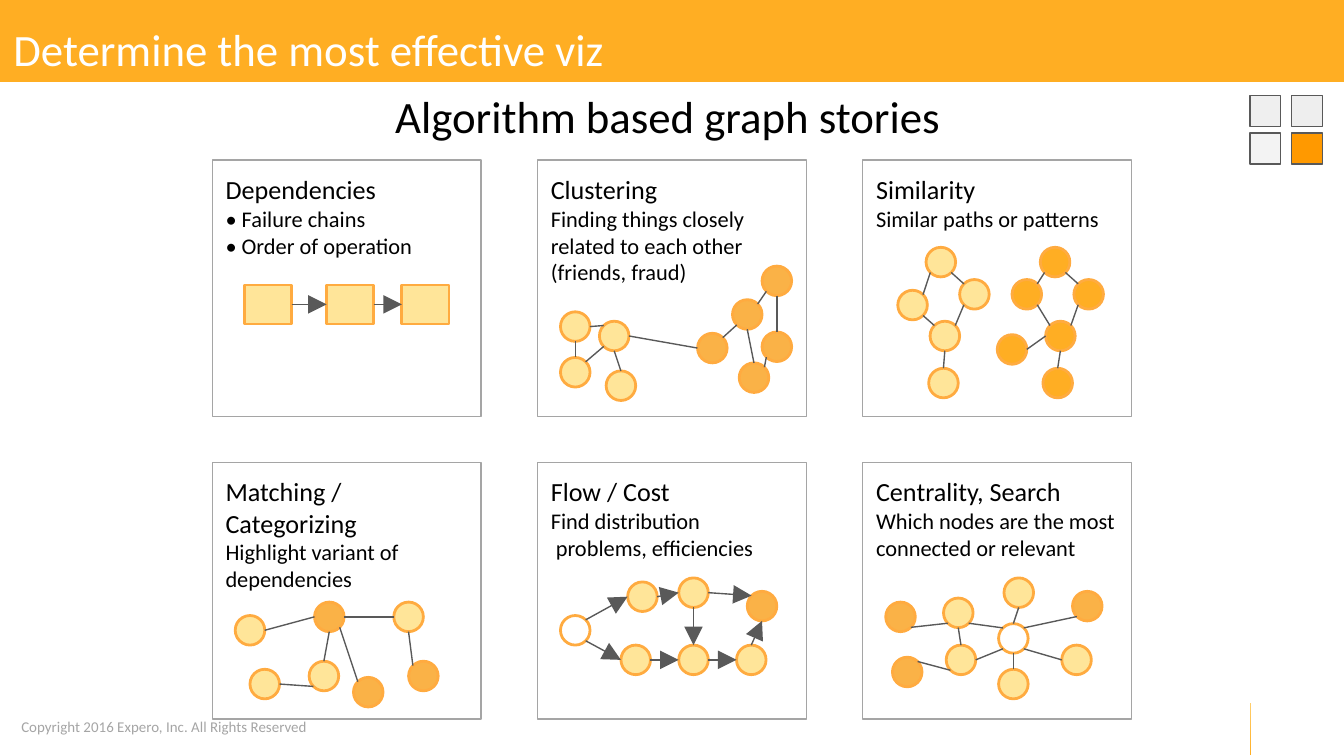
from dataclasses import dataclass
from math import cos, radians, sin

from lxml.etree import SubElement
from pptx import Presentation
from pptx.dml.color import RGBColor
from pptx.enum.shapes import MSO_CONNECTOR, MSO_SHAPE
from pptx.enum.text import MSO_ANCHOR, PP_ALIGN
from pptx.oxml.ns import qn
from pptx.util import Inches, Pt


@dataclass(frozen=True)
class Theme:
    font: str = "Calibri"
    title: int = 24
    heading: int = 14
    body: int = 12
    footer: int = 8
    amber: str = "FFAE23"
    amber_pale: str = "FFCE6C"
    node_edge: str = "FFAB40"
    link: str = "595959"
    grey: str = "A5A5A5"
    white: str = "FFFFFF"
    black: str = "000000"


THEME = Theme()
SLIDE_WIDTH = 10
SLIDE_HEIGHT = SLIDE_WIDTH * 9 / 16

# Node kind -> fill colour and opacity in percent
NODE_FILLS = {
    "light": ("FFE599", 100),
    "dark": ("F99F1A", 80),
    "amber": (THEME.amber, 100),
    "open": (THEME.white, 100),
}
NODE_SIZE = 0.22
BOX_WIDTH, BOX_HEIGHT = 0.35, 0.29
ANGLES = {"e": 0, "se": 45, "s": 90, "sw": 135, "w": 180, "nw": 225, "n": 270, "ne": 315}

# Nodes: name -> (kind, centre x, centre y) inside the panel.
# Links: "from.side to.side", sides being compass points on the node.
PANELS = [
    {"heading": "Dependencies",
     "body": ["• Failure chains", "• Order of operation"],
     "chain": [0.24, 0.85, 1.41], "chain_top": 0.93},
    {"heading": "Clustering",
     "body": ["Finding things closely related to each other (friends, fraud)"],
     "nodes": {"a": ("light", 0.28, 1.24), "b": ("light", 0.28, 1.58),
               "c": ("light", 0.57, 1.31), "d": ("light", 0.62, 1.68),
               "e": ("dark", 1.30, 1.40), "f": ("dark", 1.56, 1.15),
               "g": ("dark", 1.61, 1.62), "h": ("dark", 1.78, 1.39),
               "i": ("dark", 1.78, 0.90)},
     "links": ["i.sw f.ne", "i.s h.n", "h.sw g.ne", "f.sw e.ne", "f.s g.n",
               "c.s d.n", "c.sw b.ne", "c.nw a.e", "a.s b.n", "e.w c.e"]},
    {"heading": "Similarity", "body": ["Similar paths or patterns"],
     "nodes": {"a": ("light", 0.58, 0.76), "b": ("light", 0.37, 1.08),
               "c": ("light", 0.83, 1.00), "d": ("light", 0.61, 1.31),
               "e": ("light", 0.60, 1.66),
               "p": ("amber", 1.43, 0.76), "q": ("amber", 1.22, 1.00),
               "r": ("amber", 1.68, 1.00), "s": ("amber", 1.47, 1.31),
               "t": ("amber", 1.45, 1.66), "u": ("amber", 1.11, 1.41)},
     "links": ["a.sw b.ne", "a.se c.nw", "b.se d.nw", "c.sw d.ne", "d.s e.n",
               "p.sw q.ne", "p.se r.nw", "q.se s.nw", "r.sw s.ne", "s.s t.n",
               "s.w u.e"]},
    {"heading": "Matching / Categorizing",
     "body": ["Highlight variant of dependencies"],
     "nodes": {"a": ("light", 0.28, 1.25), "hub": ("dark", 0.87, 1.15),
               "b": ("light", 1.46, 1.15), "c": ("light", 0.39, 1.65),
               "d": ("light", 0.83, 1.59), "e": ("dark", 1.16, 1.71),
               "f": ("dark", 1.57, 1.59)},
     "links": ["b.s f.nw", "b.w hub.e", "hub.s d.n", "hub.se e.nw",
               "hub.w a.e", "c.e d.sw"]},
    {"heading": "Flow / Cost",
     "body": ["Find distribution", " problems, efficiencies"], "arrows": True,
     "nodes": {"start": ("open", 0.28, 1.25), "a": ("light", 0.78, 1.00),
               "b": ("light", 1.16, 0.97), "c": ("light", 0.73, 1.47),
               "d": ("light", 1.16, 1.47), "e": ("light", 1.59, 1.47),
               "end": ("dark", 1.67, 1.07)},
     "links": ["start.ne a.w", "start.se c.w", "c.e d.w", "d.e e.w",
               "e.n end.s", "a.e b.w", "b.e end.nw", "b.s d.n"]},
    {"heading": "Centrality, Search",
     "body": ["Which nodes are the most connected or relevant"],
     "nodes": {"hub": ("open", 1.12, 1.31), "a": ("light", 0.71, 1.12),
               "b": ("dark", 1.67, 1.07), "c": ("light", 0.73, 1.47),
               "d": ("light", 1.16, 0.97), "e": ("light", 1.12, 1.65),
               "f": ("light", 1.59, 1.47), "g": ("dark", 0.28, 1.15),
               "h": ("dark", 0.33, 1.56)},
     "links": ["d.s hub.n", "b.sw hub.ne", "f.w hub.se", "a.se hub.nw",
               "c.e hub.sw", "e.n hub.s", "g.se a.sw", "h.ne c.sw", "c.n a.s"]},
]
COLUMNS = 3
PANEL_LEFT, PANEL_TOP = 1.58, 1.19
PANEL_WIDTH, PANEL_HEIGHT = 2, 1.91
COLUMN_STEP, ROW_STEP = 2.42, 2.25

CORNER_SQUARES = [["EFEFEF", "EEEEEE"], ["F3F3F3", "FF9900"]]


def add_box(slide, kind, left, top, width, height, fill, line, weight=0.75, opacity=100):
    shape = slide.shapes.add_shape(
        kind, Inches(left), Inches(top), Inches(width), Inches(height))
    shape.shadow.inherit = False
    shape.fill.solid()
    shape.fill.fore_color.rgb = RGBColor.from_string(fill)
    if opacity < 100:
        color = shape.fill._xPr.find(qn("a:solidFill"))[0]
        SubElement(color, qn("a:alpha"), val=str(opacity * 1000))
    shape.line.color.rgb = RGBColor.from_string(line)
    shape.line.width = Pt(weight)
    return shape


def add_link(slide, start, end, arrow):
    connector = slide.shapes.add_connector(
        MSO_CONNECTOR.STRAIGHT, *(Inches(value) for value in (*start, *end)))
    connector.line.color.rgb = RGBColor.from_string(THEME.link)
    connector.line.width = Pt(0.75)
    if arrow:
        SubElement(connector.line._get_or_add_ln(), qn("a:tailEnd"),
                   type="triangle", w="lg", len="lg")
    SubElement(connector._element.spPr, qn("a:effectLst"))
    return connector


def add_run(paragraph, text, size, color):
    run = paragraph.add_run()
    run.text = text
    run.font.name = THEME.font
    run.font.size = Pt(size)
    run.font.color.rgb = RGBColor.from_string(color)


def set_frame(shape, vertical=0.1):
    frame = shape.text_frame
    frame.word_wrap = True
    frame.vertical_anchor = MSO_ANCHOR.TOP
    frame.margin_left = frame.margin_right = Inches(0.1)
    frame.margin_top = frame.margin_bottom = Inches(vertical)
    return frame


def add_text_frame(slide, left, top, width, height, vertical=0.1):
    return set_frame(slide.shapes.add_textbox(
        Inches(left), Inches(top), Inches(width), Inches(height)), vertical)


def add_panel(slide, panel, left, top):
    add_box(slide, MSO_SHAPE.RECTANGLE, left, top, PANEL_WIDTH, PANEL_HEIGHT,
            THEME.white, THEME.grey)
    frame = add_text_frame(slide, left, top, PANEL_WIDTH, 0.52)
    add_run(frame.paragraphs[0], panel["heading"], THEME.heading, THEME.black)
    for text in panel["body"]:
        add_run(frame.add_paragraph(), text, THEME.body, THEME.black)

    boxes = [add_box(slide, MSO_SHAPE.FLOWCHART_PROCESS, left + x, top + panel["chain_top"],
                     BOX_WIDTH, BOX_HEIGHT, NODE_FILLS["light"][0], THEME.node_edge, 1.5)
             for x in panel.get("chain", [])]
    for first, second in zip(boxes, boxes[1:]):
        connector = add_link(slide, (left, top), (left, top), arrow=True)
        connector.begin_connect(first, 3)
        connector.end_connect(second, 1)

    nodes = panel.get("nodes", {})
    radius = NODE_SIZE / 2
    for kind, x, y in nodes.values():
        fill, opacity = NODE_FILLS[kind]
        add_box(slide, MSO_SHAPE.OVAL, left + x - radius, top + y - radius,
                NODE_SIZE, NODE_SIZE, fill, THEME.node_edge, 1.5, opacity)

    def rim_point(end):
        name, side = end.split(".")
        _, x, y = nodes[name]
        angle = radians(ANGLES[side])
        return left + x + radius * cos(angle), top + y + radius * sin(angle)

    for link in panel.get("links", []):
        start, end = map(rim_point, link.split())
        add_link(slide, start, end, panel.get("arrows", False))


def main():
    presentation = Presentation()
    presentation.slide_width = Inches(SLIDE_WIDTH)
    presentation.slide_height = Inches(SLIDE_HEIGHT)
    slide = presentation.slides.add_slide(presentation.slide_layouts[5])

    title = slide.shapes.title
    title.left, title.top = 0, 0
    title.width, title.height = Inches(SLIDE_WIDTH), Inches(0.61)
    title.fill.solid()
    title.fill.fore_color.rgb = RGBColor.from_string(THEME.amber)
    paragraph = set_frame(title).paragraphs[0]
    paragraph.alignment = PP_ALIGN.LEFT
    paragraph.line_spacing = 1.15
    add_run(paragraph, "Determine the most effective viz", THEME.title, THEME.white)

    footer = add_text_frame(slide, 0.06, 5.29, 2.55, 0.24, 0.05)
    add_run(footer.paragraphs[0], "Copyright 2016 Expero, Inc. All Rights Reserved",
            THEME.footer, THEME.grey)

    accent = add_box(slide, MSO_SHAPE.RECTANGLE, 9.3, 5.23, 0.01, 0.39,
                     THEME.amber, THEME.amber)
    accent.line.fill.background()
    accent.fill.gradient()
    accent.fill.gradient_angle = 90
    for stop, color in zip(accent.fill.gradient_stops, (THEME.amber, THEME.amber_pale)):
        stop.color.rgb = RGBColor.from_string(color)

    paragraph = add_text_frame(slide, 1.75, 0.56, 6.51, 0.55).paragraphs[0]
    paragraph.alignment = PP_ALIGN.CENTER
    add_run(paragraph, "Algorithm based graph stories ", THEME.title, THEME.black)

    for index, panel in enumerate(PANELS):
        row, column = divmod(index, COLUMNS)
        add_panel(slide, panel, PANEL_LEFT + column * COLUMN_STEP, PANEL_TOP + row * ROW_STEP)

    for row, colors in enumerate(CORNER_SQUARES):
        for column, color in enumerate(colors):
            add_box(slide, MSO_SHAPE.RECTANGLE, 9.3 + column * 0.31, 0.71 + row * 0.28,
                    0.23, 0.23, color, THEME.link)

    presentation.save("out.pptx")


if __name__ == "__main__":
    main()
